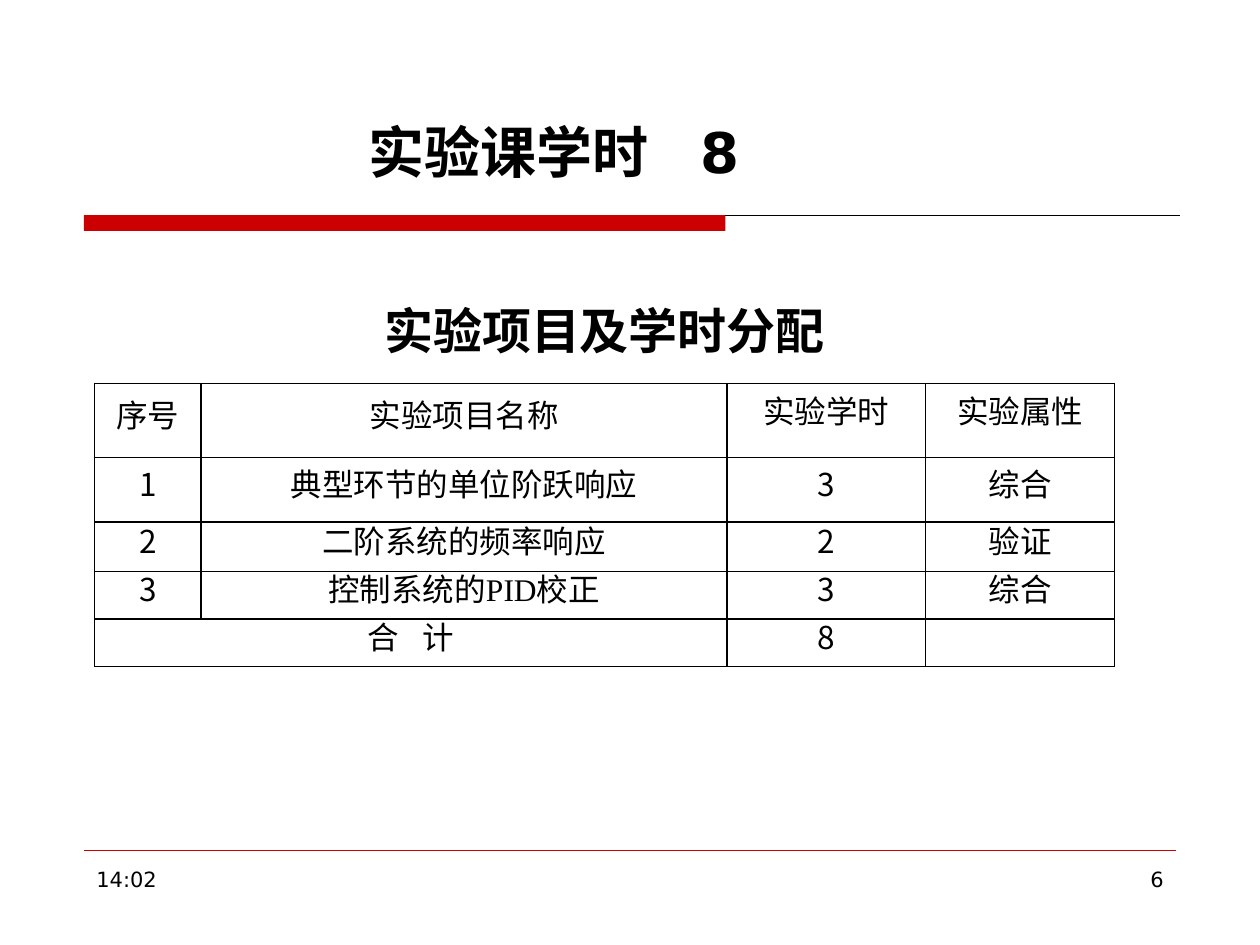
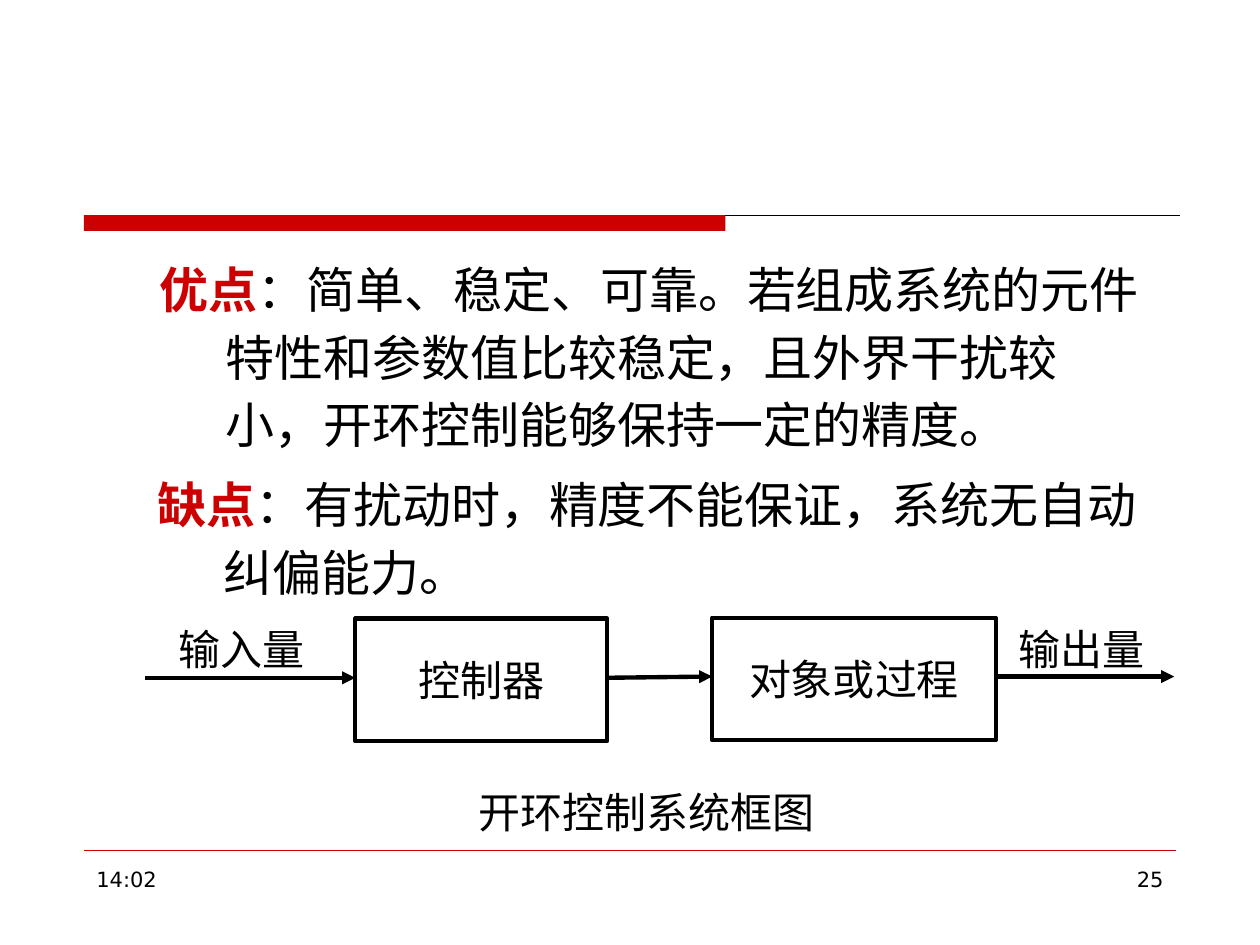
from pptx import Presentation
from pptx.dml.color import RGBColor
from pptx.enum.shapes import MSO_CONNECTOR, MSO_SHAPE
from pptx.enum.text import MSO_ANCHOR, MSO_AUTO_SIZE, PP_ALIGN
from pptx.oxml.ns import qn
from pptx.util import Pt
from lxml import etree

RED = RGBColor(0xCC, 0x00, 0x00)
BLACK = RGBColor(0x00, 0x00, 0x00)

STRAIGHT = MSO_CONNECTOR.STRAIGHT
RECTANGLE = MSO_SHAPE.RECTANGLE
TOP = MSO_ANCHOR.TOP
MIDDLE = MSO_ANCHOR.MIDDLE
NO_AUTOFIT = MSO_AUTO_SIZE.NONE
LEFT = PP_ALIGN.LEFT
CENTER = PP_ALIGN.CENTER
RIGHT = PP_ALIGN.RIGHT

SANS = "DejaVu Sans"
CJK = "Noto Sans CJK SC"
SERIF = "Times New Roman"

TITLE_ONLY, BLANK = 5, 6
MARGIN_LEFT = 48
BAND_TOP = 123
BAND_SPLIT = 414.5
HANGING = 37.6

COLUMN_WIDTHS = [61, 300.5, 113.5, 108]
ROW_HEIGHTS = [42.3, 37, 28.2, 27.2, 27.2]
EXPERIMENTS = [
    ["序号", "实验项目名称", "实验学时", "实验属性"],
    ["1", "典型环节的单位阶跃响应", "3", "综合"],
    ["2", "二阶系统的频率响应", "2", "验证"],
    ["3", "控制系统的PID校正", "3", "综合"],
    ["合 计", "", "8", ""],
]


def add_run(paragraph, text, size, font_name, color=BLACK, bold=False):
    run = paragraph.add_run()
    run.text = text
    font = run.font
    font.size = Pt(size)
    font.bold = bold
    font.color.rgb = color
    font.name = font_name
    properties = run._r.get_or_add_rPr()
    etree.SubElement(properties, qn("a:ea")).set("typeface", CJK)
    return run


def add_spaced_runs(paragraph, text, gap, size, font_name, bold=False):
    before, after = text.split(" ")
    add_run(paragraph, before, size, font_name, bold=bold)
    space = add_run(paragraph, " ", size, font_name, bold=bold)
    space._r.get_or_add_rPr().set("spc", str(gap * 100))
    add_run(paragraph, after, size, font_name, bold=bold)


def add_box(slide, left, top, width, height, wrap=False):
    box = slide.shapes.add_textbox(Pt(left), Pt(top), Pt(width), Pt(height))
    box.text_frame.word_wrap = wrap
    return box.text_frame


def add_label(slide, text, left, top, width, height, size, font_name,
              bold=False, align=LEFT, wrap=False):
    frame = add_box(slide, left, top, width, height, wrap)
    paragraph = frame.paragraphs[0]
    paragraph.alignment = align
    add_run(paragraph, text, size, font_name, bold=bold)


def add_line(slide, start, end, color, width, arrow=False):
    line = slide.shapes.add_connector(
        STRAIGHT, Pt(start[0]), Pt(start[1]), Pt(end[0]), Pt(end[1]))
    line.line.color.rgb = color
    line.line.width = Pt(width)
    if arrow:
        outline = line.line._get_or_add_ln()
        etree.SubElement(outline, qn("a:tailEnd")).set("type", "triangle")
    etree.SubElement(line._element.spPr, qn("a:effectLst"))


def add_frame(slide, number):
    band = slide.shapes.add_shape(
        RECTANGLE, Pt(MARGIN_LEFT), Pt(BAND_TOP),
        Pt(BAND_SPLIT - MARGIN_LEFT), Pt(9))
    band.shadow.inherit = False
    band.fill.solid()
    band.fill.fore_color.rgb = RED
    band.line.fill.background()
    add_line(slide, (BAND_SPLIT, BAND_TOP), (674.5, BAND_TOP), BLACK, 0.75)
    add_line(slide, (MARGIN_LEFT, 486), (672, 486), RED, 0.25)
    add_label(slide, "14:02", MARGIN_LEFT, 491.5, 156, 37, 12, SANS, wrap=True)
    add_label(slide, number, 516, 491.5, 156, 37, 12, SANS,
              align=RIGHT, wrap=True)


def set_title(slide, text):
    title = slide.shapes.title
    title.left, title.top = Pt(203.5), Pt(63.5)
    title.width, title.height = Pt(330), Pt(46)
    frame = title.text_frame
    frame.auto_size = NO_AUTOFIT
    frame.word_wrap = True
    frame.vertical_anchor = TOP
    paragraph = frame.paragraphs[0]
    paragraph.alignment = LEFT
    paragraph.line_spacing = 1.0
    add_spaced_runs(paragraph, text, 22, 32, SANS, bold=True)


def set_borders(cell):
    properties = cell._tc.get_or_add_tcPr()
    for side in ("a:lnL", "a:lnR", "a:lnT", "a:lnB"):
        border = etree.SubElement(properties, qn(side), w=str(Pt(1)))
        fill = etree.SubElement(border, qn("a:solidFill"))
        etree.SubElement(fill, qn("a:srgbClr")).set("val", str(BLACK))


def fill_cell(cell, text, line_spacing):
    cell.vertical_anchor = MIDDLE
    cell.margin_left = cell.margin_right = Pt(5)
    cell.margin_top = cell.margin_bottom = Pt(0)
    set_borders(cell)
    cell.fill.background()
    paragraph = cell.text_frame.paragraphs[0]
    paragraph.alignment = CENTER
    paragraph.line_spacing = Pt(line_spacing)
    if " " in text:
        add_spaced_runs(paragraph, text, 9, 18, SERIF)
    elif text:
        add_run(paragraph, text, 18, CJK if text.isdigit() else SERIF)


def add_experiment_table(slide):
    table = slide.shapes.add_table(
        len(ROW_HEIGHTS), len(COLUMN_WIDTHS), Pt(54), Pt(219),
        Pt(sum(COLUMN_WIDTHS)), Pt(sum(ROW_HEIGHTS))).table
    table.first_row = table.horz_banding = False
    for column, width in zip(table.columns, COLUMN_WIDTHS):
        column.width = Pt(width)
    for row, height in zip(table.rows, ROW_HEIGHTS):
        row.height = Pt(height)
    for row_index, texts in enumerate(EXPERIMENTS):
        for column_index, text in enumerate(texts):
            narrow = row_index == 0 and column_index >= 2
            fill_cell(table.cell(row_index, column_index), text,
                      14 if narrow else 18)
    table.cell(4, 0).merge(table.cell(4, 1))


def add_point(slide, heading, lines, left, top, height):
    frame = add_box(slide, left, top, 576, height, wrap=True)
    for index, line in enumerate(lines):
        paragraph = frame.paragraphs[0] if index == 0 else frame.add_paragraph()
        paragraph.line_spacing = 1.15
        if index == 0:
            add_run(paragraph, heading, 28, CJK, RED, bold=True)
        else:
            paragraph._p.get_or_add_pPr().set("marL", str(Pt(HANGING)))
        add_run(paragraph, line, 28, CJK)


def add_block(slide, text, left, top, width):
    block = slide.shapes.add_shape(
        RECTANGLE, Pt(left), Pt(top), Pt(width), Pt(70))
    block.shadow.inherit = False
    block.fill.background()
    block.line.color.rgb = BLACK
    block.line.width = Pt(2.5)
    frame = block.text_frame
    frame.word_wrap = False
    frame.vertical_anchor = MIDDLE
    paragraph = frame.paragraphs[0]
    paragraph.alignment = CENTER
    add_run(paragraph, text, 24, SERIF)


def add_open_loop_diagram(slide):
    add_block(slide, "控制器", 203, 353.5, 144)
    add_block(slide, "对象或过程", 407, 353, 162)
    for start, end in (((83, 387.3), (203, 387.3)),
                       ((347, 387.3), (407, 386.6)),
                       ((569, 386.6), (671, 386.6))):
        add_line(slide, start, end, BLACK, 2.5, arrow=True)
    for text, left, top, width in (("输入量", 95, 353, 86.5),
                                   ("输出量", 574.8, 353, 86.5),
                                   ("开环控制系统框图", 266.5, 446, 206.5)):
        add_label(slide, text, left, top, width, 36, 24, SERIF)


def build_experiment_slide(presentation):
    slide = presentation.slides.add_slide(presentation.slide_layouts[TITLE_ONLY])
    add_frame(slide, "6")
    set_title(slide, "实验课学时 8")
    add_label(slide, "实验项目及学时分配", 212.5, 168, 270, 41, 28, SERIF,
              bold=True)
    add_experiment_table(slide)


def build_open_loop_slide(presentation):
    slide = presentation.slides.add_slide(presentation.slide_layouts[BLANK])
    add_frame(slide, "25")
    add_point(slide, "优点",
              ["：简单、稳定、可靠。若组成系统的元件",
               "特性和参数值比较稳定，且外界干扰较",
               "小，开环控制能够保持一定的精度。"], 84.3, 139.7, 123)
    add_point(slide, "缺点",
              ["：有扰动时，精度不能保证，系统无自动",
               "纠偏能力。"], 83, 262.8, 85)
    add_open_loop_diagram(slide)


def main():
    presentation = Presentation()
    presentation.slide_width = Pt(720)
    presentation.slide_height = Pt(540)
    build_experiment_slide(presentation)
    build_open_loop_slide(presentation)
    presentation.save("out.pptx")


if __name__ == "__main__":
    main()
